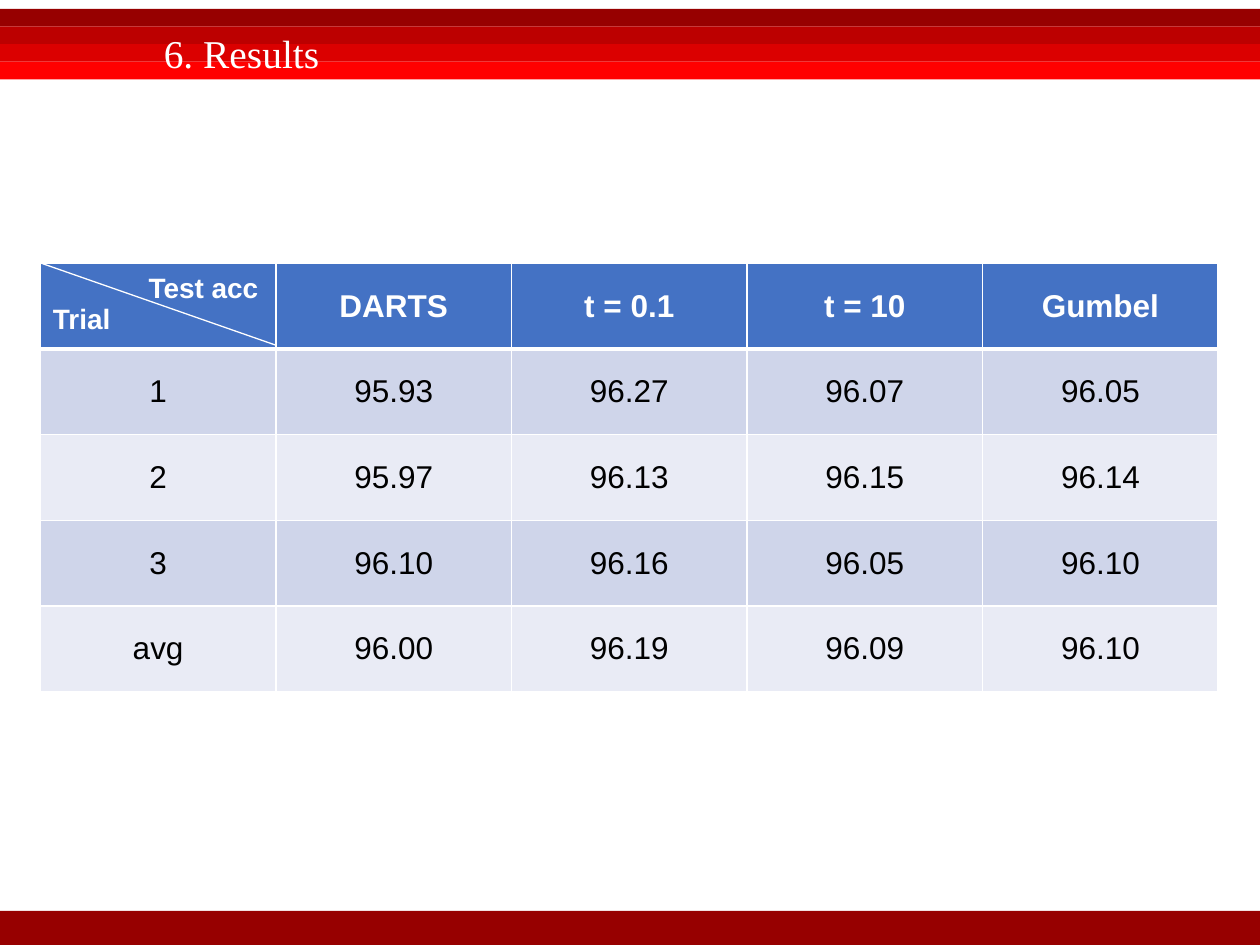
from typing import NamedTuple

import pptx
import pptx.dml.color
import pptx.enum.shapes
import pptx.enum.text
import pptx.oxml
import pptx.oxml.ns
import pptx.util
from pptx.util import Inches

ALIGN = pptx.enum.text.PP_ALIGN
MIDDLE = pptx.enum.text.MSO_ANCHOR.MIDDLE
TOP = pptx.enum.text.MSO_ANCHOR.TOP
NAMESPACE = pptx.oxml.ns.nsdecls("a")

WHITE, BLACK, DARK_RED = "FFFFFF", "000000", "970000"
HEADER_FILL = "4472C4"
BODY_FILLS = ("CFD5EA", "E9EBF5")
TABLE_LEFT, TABLE_TOP = 0.32, 2.09
COLUMN_WIDTH, ROW_HEIGHT = 1.87, 0.68

RESULTS = (
    ("", "DARTS", "t = 0.1", "t = 10", "Gumbel"),
    ("1", "95.93", "96.27", "96.07", "96.05"),
    ("2", "95.97", "96.13", "96.15", "96.14"),
    ("3", "96.10", "96.16", "96.05", "96.10"),
    ("avg", "96.00", "96.19", "96.09", "96.10"),
)


class Band(NamedTuple):
    top: float
    height: float
    color: str


BANDS = [
    Band(0.07 + 0.14 * index, 0.14, color)
    for index, color in enumerate((DARK_RED, "BC0000", "DB0000", "FF0000"))
] + [Band(7.23, 0.27, DARK_RED)]


def rgb(color: str) -> pptx.dml.color.RGBColor:
    return pptx.dml.color.RGBColor.from_string(color)


def write_text(paragraph, text: str, *, size: float = 18, color: str = BLACK,
               bold: bool = False, font: str = "Arial", align=ALIGN.CENTER):
    paragraph.alignment = align
    run = paragraph.add_run()
    run.text = text
    run.font.size = pptx.util.Pt(size)
    run.font.name = font
    run.font.bold = bold
    run.font.color.rgb = rgb(color)
    return run


def draw_band(slide, band: Band) -> None:
    shape = slide.shapes.add_shape(
        pptx.enum.shapes.MSO_SHAPE.RECTANGLE,
        0, Inches(band.top), Inches(10), Inches(band.height))
    shape.shadow.inherit = False
    shape.fill.solid()
    shape.fill.fore_color.rgb = rgb(band.color)
    shape.line.fill.background()


def draw_title(slide, text: str) -> None:
    box = slide.shapes.add_textbox(
        Inches(0.72), Inches(0.08), Inches(7.08), Inches(0.56))
    frame = box.text_frame
    frame.word_wrap = True
    frame.vertical_anchor = MIDDLE
    frame.margin_left = Inches(0.58)
    frame.margin_right = Inches(0.08)
    frame.margin_top = frame.margin_bottom = Inches(0.04)
    paragraph = frame.paragraphs[0]
    paragraph.line_spacing = 1.3
    run = write_text(paragraph, text, size=22.5, color=WHITE,
                     font="Times New Roman", align=ALIGN.LEFT)
    shadow = pptx.oxml.parse_xml(
        f'<a:effectLst {NAMESPACE}><a:outerShdw blurRad="38100" dist="38100" '
        'dir="2700000"><a:srgbClr val="000000"><a:alpha val="43000"/>'
        '</a:srgbClr></a:outerShdw></a:effectLst>')
    run.font.fill._xPr.find(pptx.oxml.ns.qn("a:solidFill")).addnext(shadow)


def style_cell(cell, fill: str, top: float, bottom: float) -> None:
    """Set the fill and the white borders, with top and bottom widths in points."""
    properties = cell._tc.get_or_add_tcPr()
    for side, width in (("L", 1), ("R", 1), ("T", top), ("B", bottom)):
        properties.append(pptx.oxml.parse_xml(
            f'<a:ln{side} {NAMESPACE} w="{pptx.util.Pt(width)}"><a:solidFill>'
            f'<a:srgbClr val="{WHITE}"/></a:solidFill></a:ln{side}>'))
    cell.fill.solid()
    cell.fill.fore_color.rgb = rgb(fill)
    cell.vertical_anchor = MIDDLE


def fill_corner(cell) -> None:
    cell.vertical_anchor = TOP
    cell.margin_top = Inches(0.08)
    cell.margin_right = Inches(0.14)
    frame = cell.text_frame
    write_text(frame.paragraphs[0], "Test acc", size=16, color=WHITE,
               bold=True, align=ALIGN.RIGHT)
    write_text(frame.add_paragraph(), "Trial", size=16, color=WHITE,
               bold=True, align=ALIGN.LEFT)


def draw_table(slide) -> None:
    rows, columns = len(RESULTS), len(RESULTS[0])
    table = slide.shapes.add_table(
        rows, columns, Inches(TABLE_LEFT), Inches(TABLE_TOP),
        Inches(COLUMN_WIDTH * columns), Inches(ROW_HEIGHT * rows)).table
    for row, values in enumerate(RESULTS):
        header = row == 0
        fill = HEADER_FILL if header else BODY_FILLS[(row - 1) % 2]
        for column, value in enumerate(values):
            cell = table.cell(row, column)
            style_cell(cell, fill, top=3 if row == 1 else 1,
                       bottom=3 if header else 1)
            if value:
                write_text(cell.text_frame.paragraphs[0], value, bold=header,
                           color=WHITE if header else BLACK)
    fill_corner(table.cell(0, 0))


def draw_corner_line(slide) -> None:
    line = slide.shapes.add_connector(
        pptx.enum.shapes.MSO_CONNECTOR.STRAIGHT,
        Inches(0.33), Inches(TABLE_TOP),
        Inches(TABLE_LEFT + COLUMN_WIDTH), Inches(2.74))
    line.line.color.rgb = rgb(WHITE)
    line.line.width = pptx.util.Pt(0.75)
    line._element.spPr.append(
        pptx.oxml.parse_xml(f"<a:effectLst {NAMESPACE}/>"))


def main() -> None:
    presentation = pptx.Presentation()
    presentation.slide_width = Inches(10)
    presentation.slide_height = Inches(7.5)
    slide = presentation.slides.add_slide(presentation.slide_layouts[6])
    for band in BANDS:
        draw_band(slide, band)
    draw_title(slide, "6. Results")
    draw_table(slide)
    draw_corner_line(slide)
    presentation.save("out.pptx")


if __name__ == "__main__":
    main()
